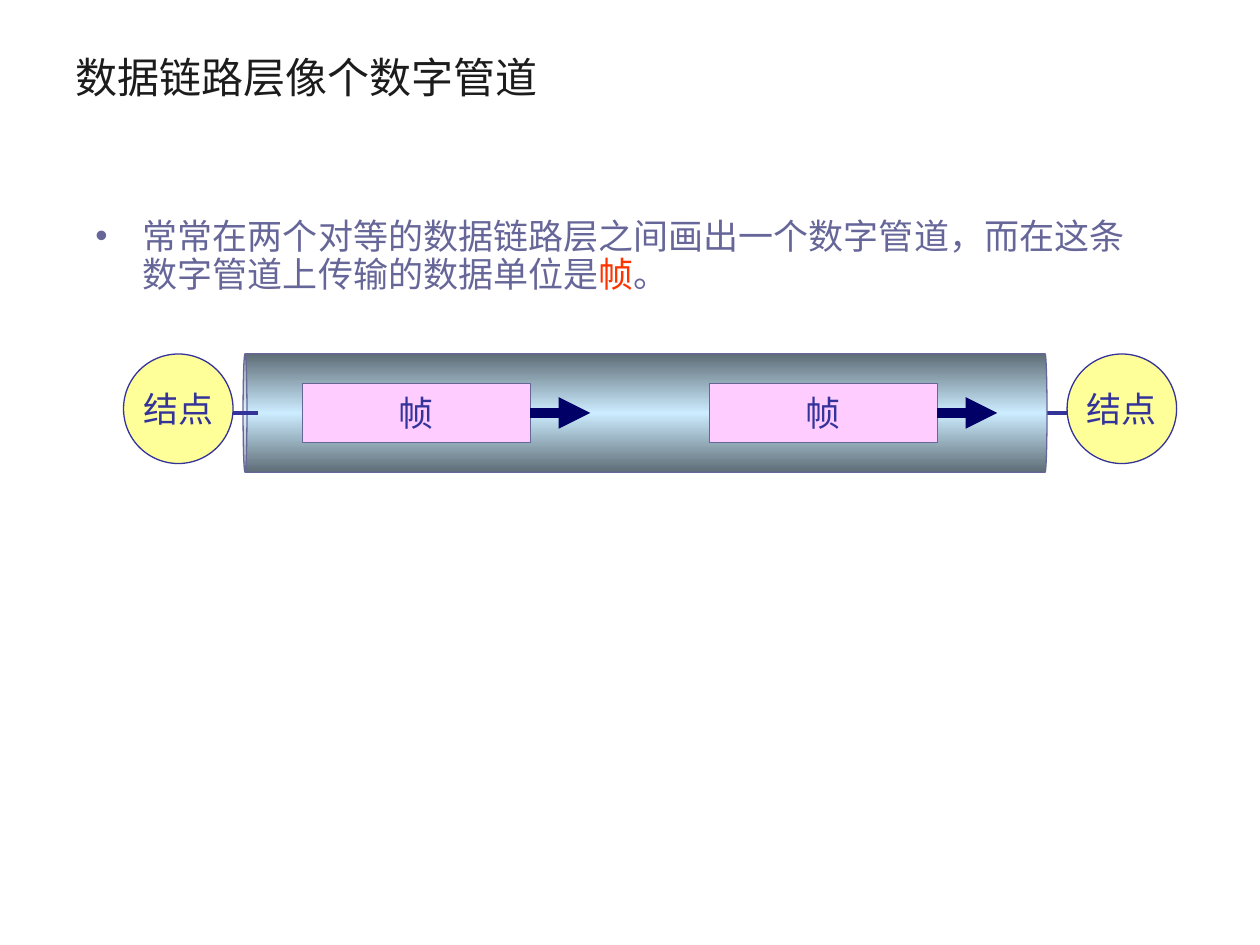
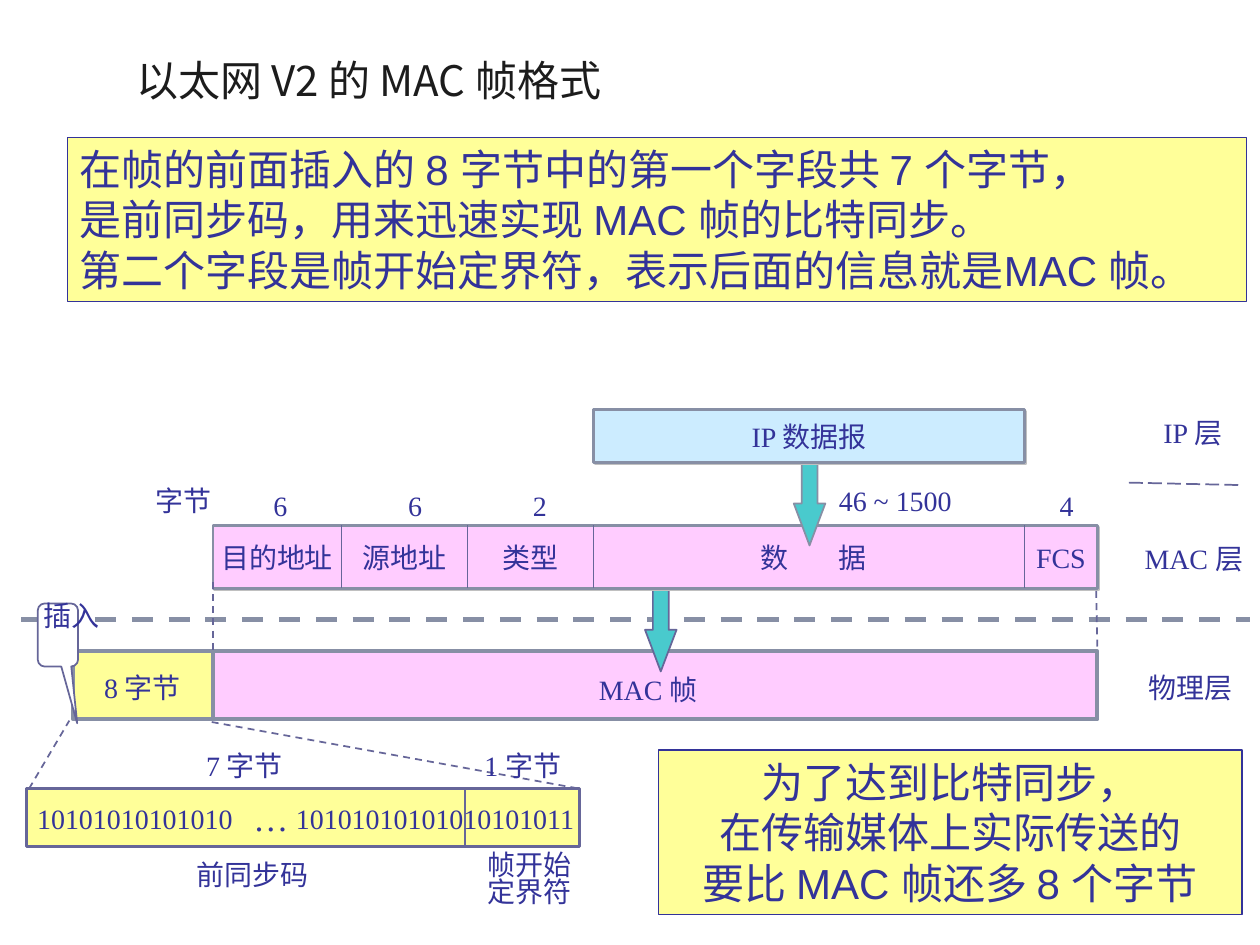
from copy import deepcopy
from dataclasses import dataclass

from lxml import etree
from pptx import Presentation
from pptx.dml.color import RGBColor
from pptx.enum.dml import MSO_LINE
from pptx.enum.shapes import MSO_CONNECTOR, MSO_SHAPE
from pptx.enum.text import MSO_ANCHOR, MSO_AUTO_SIZE, PP_ALIGN
from pptx.oxml.ns import qn
from pptx.util import Pt

RECT, OVAL, CAN = MSO_SHAPE.RECTANGLE, MSO_SHAPE.OVAL, MSO_SHAPE.CAN
DOWN_ARROW, CALLOUT = MSO_SHAPE.DOWN_ARROW, MSO_SHAPE.ROUNDED_RECTANGULAR_CALLOUT
STRAIGHT = MSO_CONNECTOR.STRAIGHT
DASH, LONG_DASH = MSO_LINE.DASH, MSO_LINE.LONG_DASH
LEFT, CENTER = PP_ALIGN.LEFT, PP_ALIGN.CENTER
TOP, MIDDLE = MSO_ANCHOR.TOP, MSO_ANCHOR.MIDDLE


@dataclass(frozen=True)
class Theme:
    title: str = "1C1C1C"
    ink: str = "333399"
    body: str = "666699"
    accent: str = "FF3300"
    yellow: str = "FFFF99"
    pink: str = "FFCCFF"
    sky: str = "CCECFF"
    teal: str = "49CACD"
    steel: str = "878FA5"
    pipe_edge: str = "5E6D76"
    navy: str = "000066"
    white: str = "FFFFFF"
    shadow: str = "C0C0C0"
    sans: str = "Arial"
    node_font: str = "Lato"
    serif: str = "Times New Roman"
    cjk: str = "Noto Sans CJK SC"
    large: int = 24
    medium: int = 20
    small: int = 16


T = Theme()

PIPE_TITLE = ("数据链路层像个数字管道", (36, 21.6, 648, 44))
PIPE_BODY = [
    ("常常在两个对等的数据链路层之间画出一个数字管道，而在这条数字管道上传输的数据单位是", T.body),
    ("帧", T.accent),
    ("。", T.body),
]
NODE, NODE_LEFTS, NODE_TOP, NODE_SIZE = "结点", (70.6, 609.8), 202.3, 62.6
FRAME, FRAME_LEFTS, FRAME_W, FRAME_H = "帧", (172.8, 405.4), 130.3, 33.8
PIPE_X, PIPE_Y, PIPE_LENGTH, PIPE_BORE = 368.6, 236, 459.4, 67.7
ARROW_LENGTH = 34.2

MAC_TITLE = ("以太网 V2 的 MAC 帧格式", (70.6, 15.1, 613.4, 60.5))
NOTES = [
    ("在帧的前面插入的 8 字节中的第一个字段共 7 个字节，\n"
     "是前同步码，用来迅速实现 MAC 帧的比特同步。\n"
     "第二个字段是帧开始定界符，表示后面的信息就是MAC 帧。",
     (38.6, 78.5, 673.9, 93.9), LEFT),
    ("为了达到比特同步，\n在传输媒体上实际传送的\n要比 MAC 帧还多 8 个字节",
     (376.3, 428.6, 333.4, 93.9), CENTER),
]
FIELD_X, FIELD_Y, FIELD_H = 121.7, 300.2, 36
FIELDS = [("目的地址", 73.4), ("源地址", 72), ("类型", 72), ("", 246.3), ("FCS", 41.7)]
FIELD_LABEL_Y, BYTES_Y, PHYSICAL_Y = 305.3, 275.8, 372.2
PHYSICAL_H = 38.9
LABELS = [
    ("数", 442.3, FIELD_LABEL_Y), ("据", 486.9, FIELD_LABEL_Y),
    ("6", 160.2, BYTES_Y), ("6", 237.2, BYTES_Y), ("2", 308.5, BYTES_Y), ("4", 609.5, BYTES_Y),
    ("字节", 105.1, 272.9), ("46 ~ 1500", 511.6, 272.9),
    ("IP 层", 681.5, 234), ("MAC 层", 682.2, 306), ("物理层", 680.4, 379.4),
    ("MAC 帧", 370.4, 380.9), ("8 字节", 81.4, 379.4), ("插入", 41, 338.4),
    ("7 字节", 139.7, 424.1), ("1 字节", 298.8, 424.1),
    ("10101010101010", 77.1, 454.3), ("10101010101010101011", 248.6, 454.3),
    ("前同步码", 144.4, 486.7),
]
GUIDES = [
    ((121.7, 332.6), (121.7, 373), DASH),
    ((626.4, 337.7), (627.1, 372.2), DASH),
    ((645.1, 275.8), (709.9, 277.2), LONG_DASH),
    ((16.6, 450.7), (39.6, 411.8), DASH),
    ((121, 412.6), (331.2, 450.7), DASH),
]


def rgb(value):
    return RGBColor.from_string(value)


def style_run(r, size, font, color):
    r.font.size, r.font.name, r.font.color.rgb = Pt(size), font, rgb(color)
    ea = etree.SubElement(r.font._element, qn("a:ea"))
    ea.set("typeface", T.cjk)


def write(sp, text, size, font, color=T.ink, align=CENTER, anchor=MIDDLE, spacing=None):
    tf = sp.text_frame
    tf.text = text
    tf.word_wrap, tf.auto_size, tf.vertical_anchor = False, MSO_AUTO_SIZE.NONE, anchor
    for p in tf.paragraphs:
        p.alignment, p.line_spacing = align, spacing
        for r in p.runs:
            style_run(r, size, font, color)


def add_title(s, title):
    text, box = title
    sp = s.shapes.title
    sp.left, sp.top, sp.width, sp.height = map(Pt, box)
    write(sp, text, T.large, T.cjk, T.title, LEFT)


def add_shape(s, kind, box, fill, line, width=0.75, adjustments=()):
    sp = s.shapes.add_shape(kind, *map(Pt, box))
    sp.shadow.inherit = False
    sp.fill.solid()
    sp.fill.fore_color.rgb = rgb(fill)
    sp.line.color.rgb, sp.line.width = rgb(line), Pt(width)
    for i, value in enumerate(adjustments):
        sp.adjustments[i] = value
    return sp


def add_line(s, start, end, color=T.body, width=1, dash=None, arrow=False):
    cx = s.shapes.add_connector(STRAIGHT, *map(Pt, (*start, *end)))
    cx.line.color.rgb, cx.line.width = rgb(color), Pt(width)
    if dash:
        cx.line.dash_style = dash
    if arrow:
        etree.SubElement(cx.line._get_or_add_ln(), qn("a:tailEnd")).set("type", "triangle")
    etree.SubElement(cx._element.spPr, qn("a:effectLst"))
    return cx


def add_label(s, text, center, top, size=T.small, height=26, spacing=None):
    width = 310 if len(text) > 15 else 80
    sp = s.shapes.add_textbox(Pt(center - width / 2), Pt(top), Pt(width), Pt(height))
    write(sp, text, size, T.serif, anchor=TOP, spacing=spacing)


def add_drop_shadow(sp):
    effects = sp._element.spPr.find(qn("a:effectLst"))
    shadow = etree.SubElement(effects, qn("a:outerShdw"), dist="17780", dir="2700000", algn="ctr")
    etree.SubElement(shadow, qn("a:srgbClr"), val=T.shadow)


def add_body(s):
    sp = s.shapes.add_textbox(Pt(47.5), Pt(121.7), Pt(612), Pt(380.9))
    tf = sp.text_frame
    tf.word_wrap = True
    p = tf.paragraphs[0]
    p.line_spacing, p.space_before = 0.9, Pt(5)
    for text, color in PIPE_BODY:
        r = p.add_run()
        r.text = text
        style_run(r, T.medium, T.sans, color)
    pPr = p._p.get_or_add_pPr()
    pPr.set("marL", str(Pt(27)))
    pPr.set("indent", str(Pt(-27)))
    etree.SubElement(etree.SubElement(pPr, qn("a:buClr")), qn("a:srgbClr"), val=T.body)
    etree.SubElement(pPr, qn("a:buFont"), typeface=T.sans)
    etree.SubElement(pPr, qn("a:buChar"), char="•")


def add_pipe(s):
    box = (PIPE_X - PIPE_BORE / 2, PIPE_Y - PIPE_LENGTH / 2, PIPE_BORE, PIPE_LENGTH)
    sp = add_shape(s, CAN, box, T.sky, T.body, adjustments=[0.033])
    sp.rotation = 270
    sp.fill.gradient()
    sp.fill.gradient_angle = 0
    stops = sp._element.spPr.find(".//" + qn("a:gsLst"))
    stops.append(deepcopy(stops[0]))
    for stop, position, color in zip(sp.fill.gradient_stops, (0, 0.5, 1),
                                     (T.pipe_edge, T.sky, T.pipe_edge)):
        stop.position, stop.color.rgb = position, rgb(color)


def build_pipe_slide(s):
    add_title(s, PIPE_TITLE)
    add_body(s)
    for left in NODE_LEFTS:
        sp = add_shape(s, OVAL, (left, NODE_TOP, NODE_SIZE, NODE_SIZE), T.yellow, T.ink)
        write(sp, NODE, T.medium, T.node_font)
    link = NODE_LEFTS[0] + NODE_SIZE
    add_line(s, (link, PIPE_Y), (NODE_LEFTS[1], PIPE_Y), T.ink, 2.25)
    add_pipe(s)
    add_line(s, (link, PIPE_Y), (link + 14.4, PIPE_Y), T.ink, 2.25)
    for left in FRAME_LEFTS:
        sp = add_shape(s, RECT, (left, PIPE_Y - FRAME_H / 2, FRAME_W, FRAME_H), T.pink, T.body)
        write(sp, FRAME, T.medium, T.node_font)
        right = left + FRAME_W
        cx = add_line(s, (right, PIPE_Y), (right + ARROW_LENGTH, PIPE_Y), T.navy, 6, arrow=True)
        cx.begin_connect(sp, 3)


def add_fields(s):
    total = sum(width for _, width in FIELDS)
    add_drop_shadow(add_shape(s, RECT, (FIELD_X, FIELD_Y, total, FIELD_H), T.pink, T.steel, 1.5))
    x = FIELD_X
    for name, width in FIELDS:
        if x > FIELD_X:
            add_line(s, (x, FIELD_Y), (x, FIELD_Y + FIELD_H))
        if name:
            add_label(s, name, x + width / 2, FIELD_LABEL_Y)
        x += width
    return total


def build_mac_slide(s):
    add_title(s, MAC_TITLE)
    add_line(s, (12.2, 354.2), (714.2, 354.2), T.steel, 3, DASH)
    total = sum(width for _, width in FIELDS)
    add_shape(s, RECT, (FIELD_X, PHYSICAL_Y, total, PHYSICAL_H), T.pink, T.steel, 2.25)
    add_shape(s, DOWN_ARROW, (368.6, 335.5, 18, 48.2), T.teal, T.body, 1, (0.5, 1.32))
    add_fields(s)
    add_shape(s, DOWN_ARROW, (453.6, 263.5, 18, 48.2), T.teal, T.steel, 1, (0.5, 1.33))
    sp = add_shape(s, RECT, (339.1, 234, 246.3, 30.2), T.sky, T.steel, 1.5)
    add_drop_shadow(sp)
    write(sp, "IP 数据报", T.small, T.serif)
    add_shape(s, RECT, (15.1, 450.7, 316.1, 33.1), T.yellow, T.body, 1.5)
    add_line(s, (265.7, 450.7), (265.7, 484.6))
    add_shape(s, RECT, (41.8, PHYSICAL_Y, 79.9, PHYSICAL_H), T.yellow, T.steel, 2.25)
    for start, end, dash in GUIDES:
        add_line(s, start, end, dash=dash)
    add_shape(s, CALLOUT, (21.6, 344.9, 23, 36), T.white, T.body, 1, (0.48, 1.4, 0.17))
    for label in LABELS:
        add_label(s, *label)
    add_label(s, "…", 154.8, 451.4, T.medium, 31.7)
    add_label(s, "帧开始\n定界符", 302.4, 484.6, height=37.4, spacing=0.8)
    for text, box, align in NOTES:
        sp = add_shape(s, RECT, box, T.yellow, T.ink)
        write(sp, text, T.large, T.sans, align=align, anchor=TOP)


def main():
    prs = Presentation()
    prs.slide_width, prs.slide_height = Pt(720), Pt(540)
    for build in (build_pipe_slide, build_mac_slide):
        build(prs.slides.add_slide(prs.slide_layouts[5]))
    prs.save("out.pptx")


if __name__ == "__main__":
    main()
